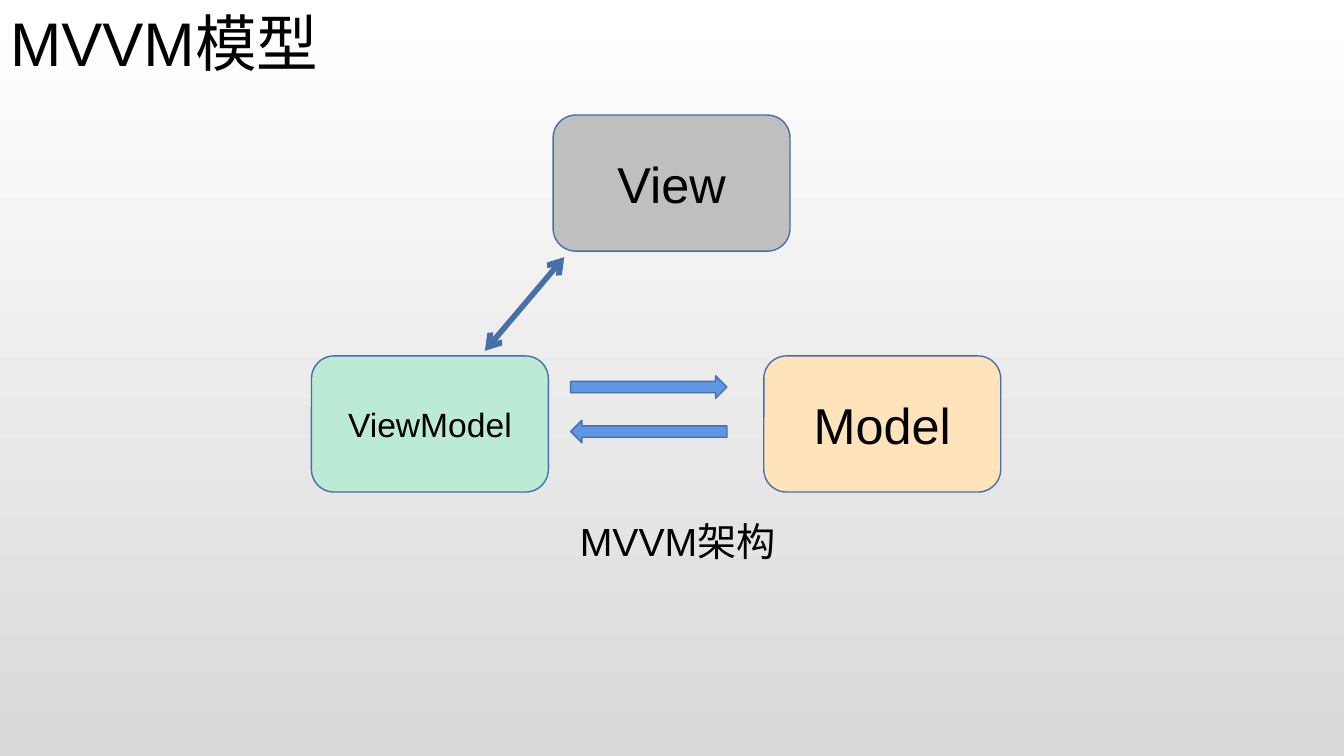
import dataclasses

import lxml.etree
import pptx
import pptx.dml.color
import pptx.enum.shapes
import pptx.enum.text
import pptx.oxml.ns
import pptx.util
from pptx.util import Cm


@dataclasses.dataclass(frozen=True)
class Theme:
    """Colours, type sizes and line widths of the slide."""

    font: str = "Arial"
    text: str = "000000"
    outline: str = "476FAA"
    arrow: str = "6096E6"
    view: str = "BFBFBF"
    view_model: str = "BBEAD5"
    model: str = "FFE3BB"
    background: tuple = ("FFFFFF", "D9D9D9")
    title_size: int = 44
    label_size: int = 36
    caption_size: int = 28
    small_label_size: int = 24
    outline_width: float = 1
    link_width: float = 4


THEME = Theme()
ALIGN = pptx.enum.text.PP_ALIGN
ANCHOR = pptx.enum.text.MSO_ANCHOR
SHAPE = pptx.enum.shapes.MSO_SHAPE


def rgb(value):
    """Turn a hex string into a colour."""
    return pptx.dml.color.RGBColor.from_string(value)


def write_text(shape, text, size, alignment, anchor):
    """Put one formatted paragraph into a shape."""
    frame = shape.text_frame
    frame.text = text
    frame.word_wrap = True
    frame.vertical_anchor = anchor
    paragraph = frame.paragraphs[0]
    paragraph.alignment = alignment
    font = paragraph.runs[0].font
    font.name = THEME.font
    font.size = pptx.util.Pt(size)
    font.color.rgb = rgb(THEME.text)


def style_line(line, width):
    """Give a line the outline colour and a width."""
    line.color.rgb = rgb(THEME.outline)
    line.width = pptx.util.Pt(width)


def paint_background(slide):
    """Fill the background with a gradient from top to bottom."""
    fill = slide.background.fill
    fill.gradient()
    fill.gradient_angle = 270
    for stop, color in zip(fill.gradient_stops, THEME.background):
        stop.color.rgb = rgb(color)


def place_title(slide, text):
    """Move the title placeholder to the top left corner and fill it."""
    title = slide.shapes.title
    title.left, title.top = Cm(0), Cm(0)
    title.width, title.height = Cm(10.46), Cm(2.13)
    write_text(title, text, THEME.title_size, ALIGN.LEFT, ANCHOR.TOP)


def add_figure(slide, kind, left, top, width, height, color):
    """Add an outlined preset shape."""
    shape = slide.shapes.add_shape(kind, Cm(left), Cm(top), Cm(width), Cm(height))
    shape.shadow.inherit = False
    shape.fill.solid()
    shape.fill.fore_color.rgb = rgb(color)
    style_line(shape.line, THEME.outline_width)
    return shape


def add_component(slide, text, left, top, color, size):
    """Add a rounded box with a centred label."""
    box = add_figure(slide, SHAPE.ROUNDED_RECTANGLE, left, top, 5.97, 3.43, color)
    write_text(box, text, size, ALIGN.CENTER, ANCHOR.MIDDLE)


def add_block_arrow(slide, top, rotation):
    """Add a block arrow between the view model and the model."""
    arrow = add_figure(slide, SHAPE.RIGHT_ARROW, 14.38, top, 3.94, 0.57, THEME.arrow)
    arrow.rotation = rotation


def add_two_way_link(slide, start, end):
    """Add a straight line with an arrowhead at each end."""
    link = slide.shapes.add_connector(
        pptx.enum.shapes.MSO_CONNECTOR.STRAIGHT, *map(Cm, start + end)
    )
    style_line(link.line, THEME.link_width)
    qualified = pptx.oxml.ns.qn
    properties = link._element.spPr
    outline = properties.find(qualified("a:ln"))
    for tag in ("a:headEnd", "a:tailEnd"):
        lxml.etree.SubElement(outline, qualified(tag), type="arrow")
    lxml.etree.SubElement(properties, qualified("a:effectLst"))


def add_caption(slide, text):
    """Add the centred caption below the diagram."""
    caption = slide.shapes.add_textbox(Cm(13.79), Cm(12.9), Cm(6.58), Cm(1.45))
    write_text(caption, text, THEME.caption_size, ALIGN.CENTER, ANCHOR.TOP)


def main():
    """Build and save the slide."""
    presentation = pptx.Presentation()
    presentation.slide_width, presentation.slide_height = Cm(33.87), Cm(19.05)
    slide = presentation.slides.add_slide(presentation.slide_layouts[5])
    paint_background(slide)
    place_title(slide, "MVVM模型")
    for component in (
        ("View", 13.94, 2.9, THEME.view, THEME.label_size),
        ("ViewModel", 7.85, 8.97, THEME.view_model, THEME.small_label_size),
        ("Model", 19.25, 8.97, THEME.model, THEME.label_size),
    ):
        add_component(slide, *component)
    add_two_way_link(slide, (14.22, 6.48), (12.22, 8.84))
    for top, rotation in ((9.47, 0), (10.59, 180)):
        add_block_arrow(slide, top, rotation)
    add_caption(slide, "MVVM架构")
    presentation.save("out.pptx")


if __name__ == "__main__":
    main()
